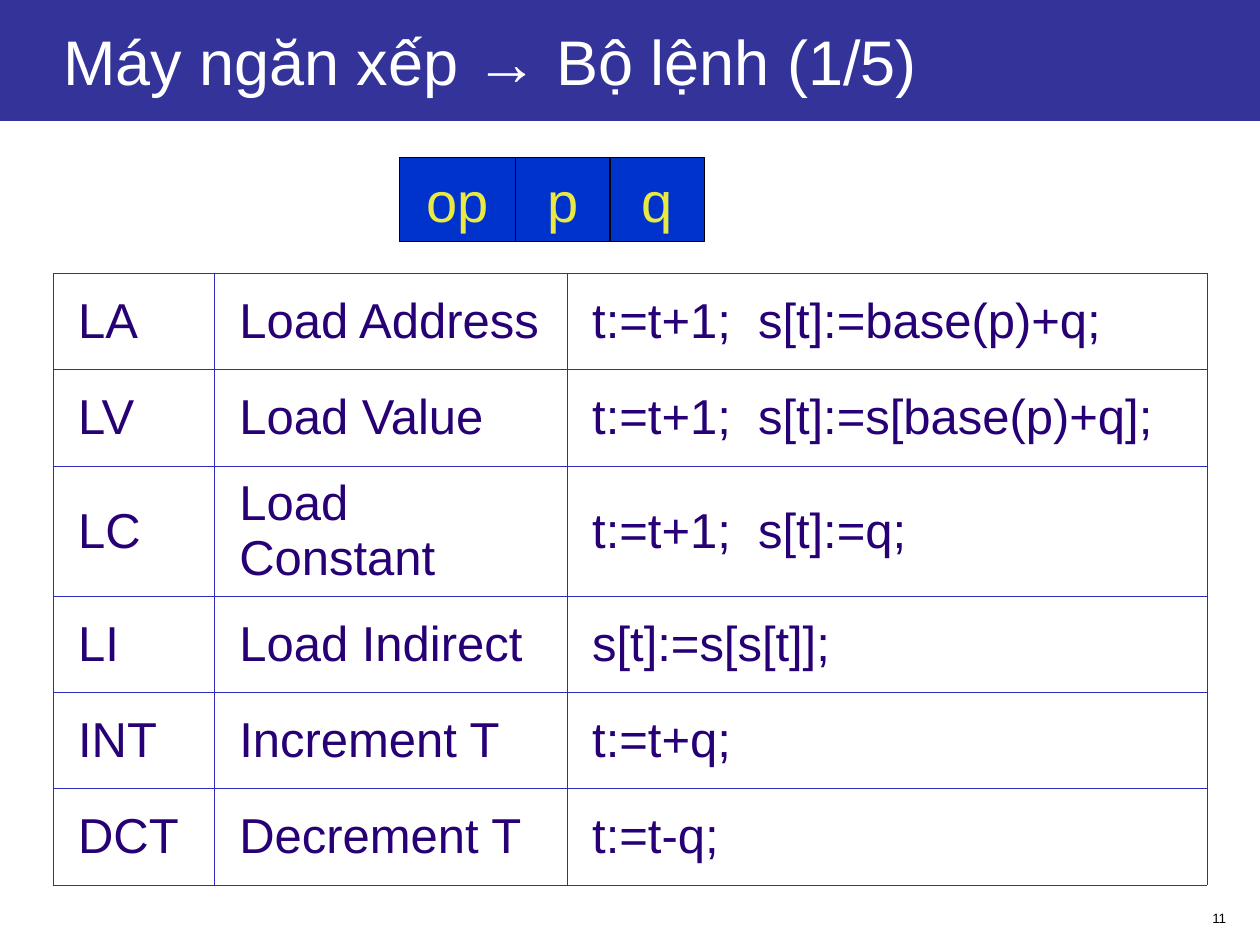
from typing import NamedTuple

from lxml.etree import SubElement
from pptx import Presentation
from pptx.dml.color import RGBColor
from pptx.enum.shapes import MSO_SHAPE
from pptx.enum.text import MSO_ANCHOR, MSO_AUTO_SIZE, PP_ALIGN
from pptx.oxml.ns import qn
from pptx.util import Inches, Pt

FONT = "Arial"
WHITE, BLACK = "FFFFFF", "000000"
TITLE_FILL, FIELD_FILL, FIELD_TEXT = "333399", "0033CC", "E9E943"
TABLE_TEXT, TABLE_LINE = "270076", "2D2DB9"


class Field(NamedTuple):
    name: str
    width: float


class Instruction(NamedTuple):
    code: str
    meaning: str
    effect: str


FIELDS = [Field("op", 0.92), Field("p", 0.75), Field("q", 0.75)]
FIELD_LEFT, FIELD_TOP, FIELD_HEIGHT = 3.17, 1.25, 0.67

INSTRUCTIONS = [
    Instruction("LA", "Load Address", "t:=t+1;  s[t]:=base(p)+q;"),
    Instruction("LV", "Load Value", "t:=t+1;  s[t]:=s[base(p)+q];"),
    Instruction("LC", "Load Constant", "t:=t+1;  s[t]:=q;"),
    Instruction("LI", "Load Indirect", "s[t]:=s[s[t]];"),
    Instruction("INT", "Increment T", "t:=t+q;"),
    Instruction("DCT", "Decrement T", "t:=t-q;"),
]
TABLE_LEFT, TABLE_TOP, ROW_HEIGHT = 0.42, 2.17, 0.764
COLUMNS = [1.28, 2.8, 5.08]


def rgb(color: str) -> RGBColor:
    return RGBColor.from_string(color)


def box(left: float, top: float, width: float, height: float) -> list:
    return [Inches(v) for v in (left, top, width, height)]


def paint(target, color: str) -> None:
    target.fill.solid()
    target.fill.fore_color.rgb = rgb(color)


def write(tf, text: str, *, size: float, color: str, align=PP_ALIGN.LEFT) -> None:
    p = tf.paragraphs[0]
    p.alignment = align
    r = p.add_run()
    r.text = text
    r.font.name = FONT
    r.font.size = Pt(size)
    r.font.color.rgb = rgb(color)


def set_borders(cell, color: str, width: float) -> None:
    tc_pr = cell._tc.get_or_add_tcPr()
    for i, side in enumerate(("a:lnL", "a:lnR", "a:lnT", "a:lnB")):
        ln = SubElement(tc_pr, qn(side), w=str(Pt(width)))
        fill = SubElement(ln, qn("a:solidFill"))
        SubElement(fill, qn("a:srgbClr"), val=color)
        # Borders come before the cell fill
        tc_pr.insert(i, ln)


def add_title(s, text: str) -> None:
    title = s.shapes.title
    title.left, title.top, title.width, title.height = box(0, 0, 10, 0.96)
    paint(title, TITLE_FILL)
    tf = title.text_frame
    tf.auto_size = MSO_AUTO_SIZE.NONE
    tf.vertical_anchor = MSO_ANCHOR.MIDDLE
    tf.margin_left = Inches(0.5)
    write(tf, text, size=36, color=WHITE)


def add_field(s, field: Field, left: float) -> None:
    sp = s.shapes.add_shape(
        MSO_SHAPE.RECTANGLE, *box(left, FIELD_TOP, field.width, FIELD_HEIGHT))
    sp.shadow.inherit = False
    paint(sp, FIELD_FILL)
    sp.line.color.rgb = rgb(BLACK)
    sp.line.width = Pt(0.74)
    tf = sp.text_frame
    tf.word_wrap = False
    tf.vertical_anchor = MSO_ANCHOR.MIDDLE
    write(tf, field.name, size=32, color=FIELD_TEXT, align=PP_ALIGN.CENTER)


def add_instruction_table(s) -> None:
    frame = s.shapes.add_table(
        len(INSTRUCTIONS), len(COLUMNS),
        *box(TABLE_LEFT, TABLE_TOP, sum(COLUMNS), ROW_HEIGHT * len(INSTRUCTIONS)))
    table = frame.table
    table.first_row = table.horz_banding = False
    for column, width in zip(table.columns, COLUMNS):
        column.width = Inches(width)
    for row, instruction in zip(table.rows, INSTRUCTIONS):
        row.height = Inches(ROW_HEIGHT)
        for cell, text in zip(row.cells, instruction):
            cell.fill.background()
            cell.vertical_anchor = MSO_ANCHOR.MIDDLE
            cell.margin_left = Inches(0.2)
            set_borders(cell, TABLE_LINE, 0.45)
            write(cell.text_frame, text, size=28, color=TABLE_TEXT,
                  align=PP_ALIGN.JUSTIFY)


def add_page_number(s, number: str) -> None:
    tf = s.shapes.add_textbox(*box(7.75, 7.17, 2.08, 0.24)).text_frame
    tf.word_wrap = True
    write(tf, number, size=7.7, color=BLACK, align=PP_ALIGN.RIGHT)


prs = Presentation()
prs.slide_width, prs.slide_height = Inches(10), Inches(7.5)
s = prs.slides.add_slide(prs.slide_layouts[5])

add_page_number(s, "11")
add_title(s, "Máy ngăn xếp → Bộ lệnh (1/5)")
add_instruction_table(s)

# Instruction format: fields side by side
left = FIELD_LEFT
for field in FIELDS:
    add_field(s, field, left)
    left += field.width

prs.save("out.pptx")
